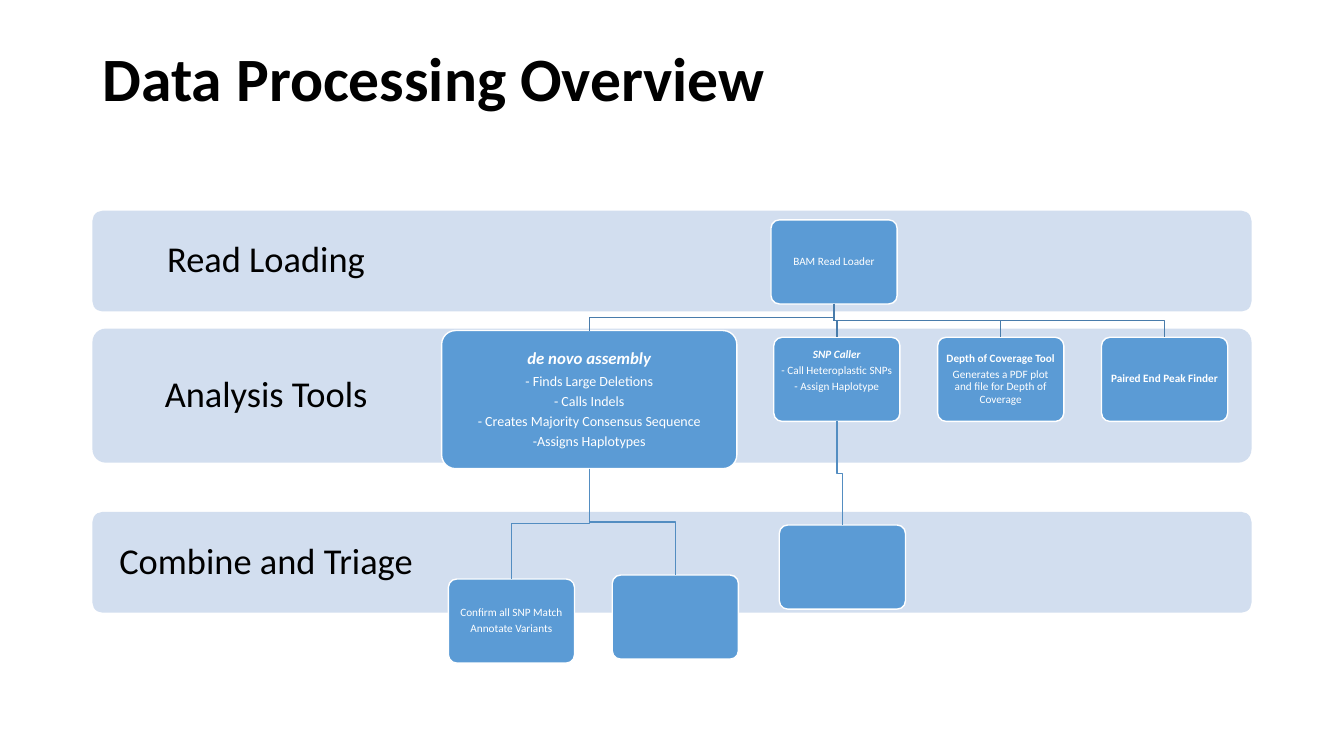
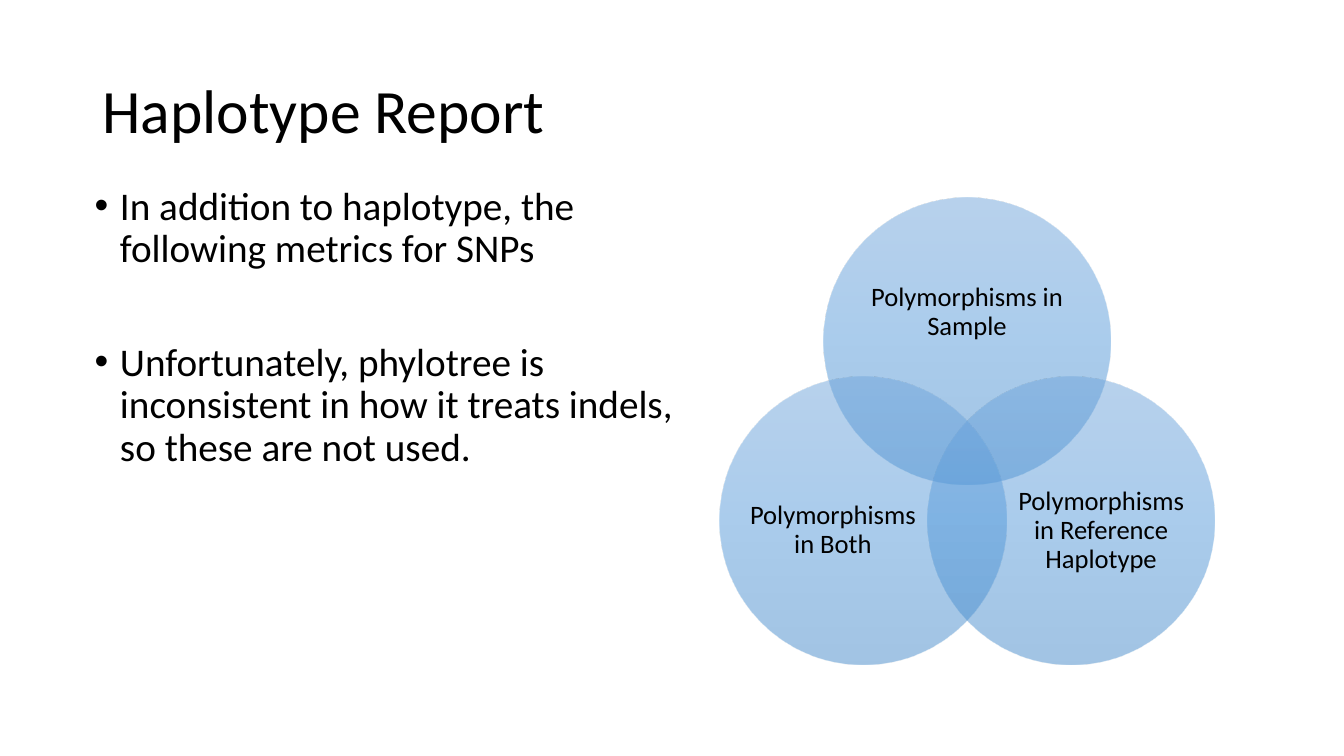
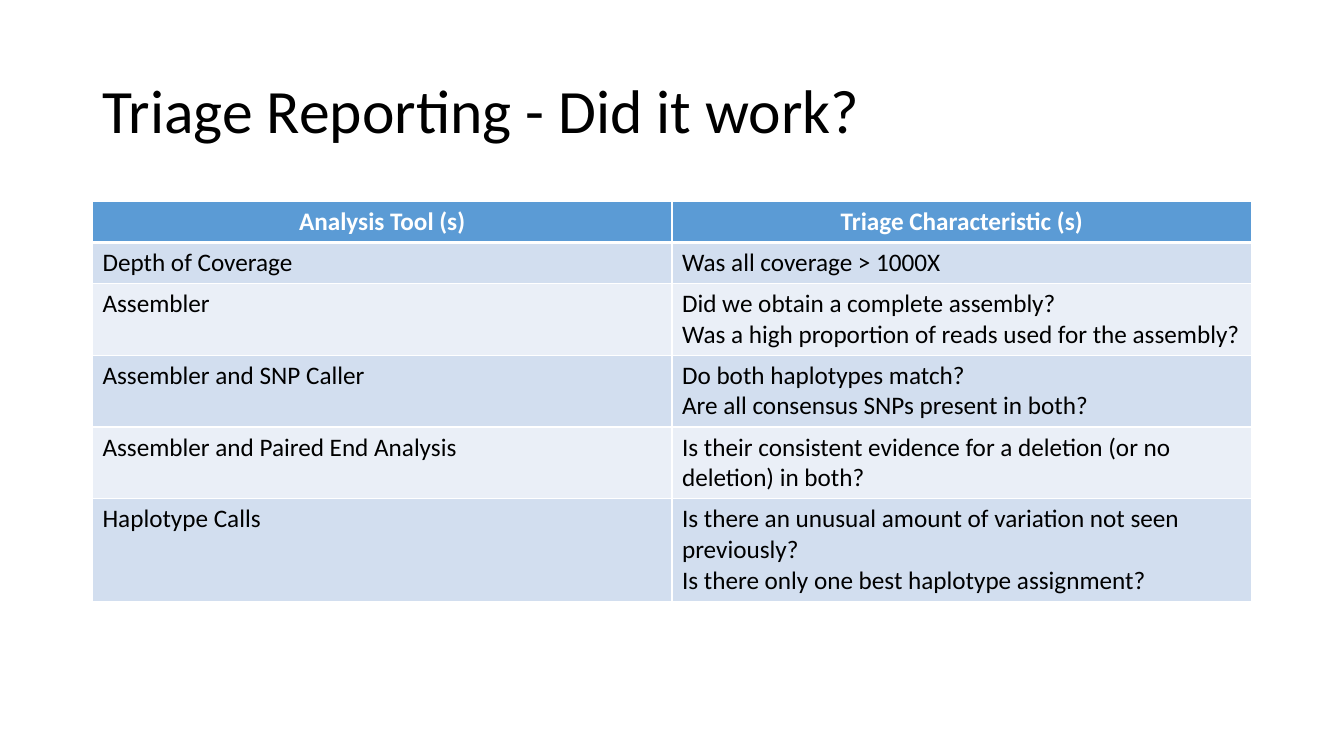
from lxml import etree
from pptx import Presentation
from pptx.dml.color import RGBColor
from pptx.enum.shapes import MSO_SHAPE
from pptx.enum.text import MSO_ANCHOR, MSO_AUTO_SIZE, PP_ALIGN
from pptx.oxml.ns import qn
from pptx.util import Cm, Pt

ROUNDED, OVAL = MSO_SHAPE.ROUNDED_RECTANGLE, MSO_SHAPE.OVAL
LEFT, CENTER = PP_ALIGN.LEFT, PP_ALIGN.CENTER
TOP, MIDDLE = MSO_ANCHOR.TOP, MSO_ANCHOR.MIDDLE
NO_FIT = MSO_AUTO_SIZE.NONE

COLORS = {
    "text": "000000", "white": "FFFFFF", "box": "5B9BD5",
    "band": "D2DEEF", "band_light": "EAEFF7",
    "link": "497CAB", "sublink": "538DC1",
    "venn_top": "71A6DB", "venn_mid": "559BDB", "venn_bottom": "448ACA",
}
FONT = "Calibri"
MARGIN_X, CONTENT_W = 2.33, 29.21
TITLE_TOP, TITLE_H = 1.02, 3.68
TITLE_ONLY, TITLE_AND_BODY = 5, 1
BOX_W, BOX_H, BOX_PITCH = 3.18, 2.12, 4.13


def rgb(name):
    return RGBColor.from_string(COLORS[name])


def set_attrs(target, **values):
    for name, value in values.items():
        setattr(target, name, value)


def place(shape, x, y, w, h):
    set_attrs(shape, left=Cm(x), top=Cm(y), width=Cm(w), height=Cm(h))


def set_margins(tf, left, top, right, bottom):
    set_attrs(tf, margin_left=Cm(left), margin_top=Cm(top),
              margin_right=Cm(right), margin_bottom=Cm(bottom))


def write(tf, lines, size, color="text", align=CENTER, anchor=MIDDLE,
          spacing=0.9, after=0.35, **font):
    """Write one paragraph per line; a line is text or (text, font overrides).

    The space after a paragraph is the share `after` of its font size.
    """
    set_attrs(tf, word_wrap=True, auto_size=NO_FIT, vertical_anchor=anchor)
    for i, line in enumerate(lines):
        text, own = (line, {}) if isinstance(line, str) else line
        style = {"size": size, "bold": False, "italic": False, **font, **own}
        points = style.pop("size")
        p = tf.paragraphs[0] if i == 0 else tf.add_paragraph()
        set_attrs(p, alignment=align, line_spacing=spacing,
                  space_before=Pt(0), space_after=Pt(points * after))
        r = p.add_run()
        r.text = text
        set_attrs(r.font, name=FONT, size=Pt(points), **style)
        r.font.color.rgb = rgb(color)


def add_slide(prs, title, layout=TITLE_ONLY, height=TITLE_H, bold=False):
    s = prs.slides.add_slide(prs.slide_layouts[layout])
    place(s.shapes.title, MARGIN_X, TITLE_TOP, CONTENT_W, height)
    write(s.shapes.title.text_frame, [title], 44, align=LEFT, after=0, bold=bold)
    return s


def add_rounded(s, x, y, w, h, fill, line=None):
    sp = s.shapes.add_shape(ROUNDED, Cm(x), Cm(y), Cm(w), Cm(h))
    sp.shadow.inherit = False
    sp.adjustments[0] = 0.1
    sp.fill.solid()
    sp.fill.fore_color.rgb = rgb(fill)
    if line:
        sp.line.color.rgb = rgb(line)
        sp.line.width = Pt(1)
    else:
        sp.line.fill.background()
    return sp


def add_band(s, label, y, h):
    """Add a full-width band whose label is centred in its left part."""
    sp = add_rounded(s, MARGIN_X, y, CONTENT_W, h, "band")
    set_margins(sp.text_frame, 0.44, 0.44, 20.89, 0.44)
    write(sp.text_frame, [label], 26)


def add_box(s, x, y, lines=(), w=BOX_W, h=BOX_H, size=8, inset=0.08, lift=0):
    """Add a step box; `lift` is extra bottom margin that raises the text."""
    sp = add_rounded(s, x, y, w, h, "box", "white")
    if lines:
        set_margins(sp.text_frame, inset, inset, inset, inset + lift)
        write(sp.text_frame, lines, size, "white")
    return sp


def add_link(s, parent, child, color):
    """Draw an elbow from the parent's bottom centre to the child's top centre."""
    x1, y1 = parent.left + parent.width // 2, parent.top + parent.height
    x2, y2 = child.left + child.width // 2, child.top
    middle = (y1 + y2) // 2
    builder = s.shapes.build_freeform(x1, y1)
    builder.add_line_segments([(x1, middle), (x2, middle), (x2, y2)], close=False)
    link = builder.convert_to_shape()
    link.shadow.inherit = False
    link.fill.background()
    link.line.color.rgb = rgb(color)
    link.line.width = Pt(1)


def add_venn_circle(s, x, y, diameter):
    sp = s.shapes.add_shape(OVAL, Cm(x), Cm(y), Cm(diameter), Cm(diameter))
    sp.shadow.inherit = False
    sp.line.fill.background()
    gradient = etree.Element(qn("a:gradFill"), rotWithShape="1")
    stops = etree.SubElement(gradient, qn("a:gsLst"))
    for pos, name in ((0, "venn_top"), (50, "venn_mid"), (100, "venn_bottom")):
        stop = etree.SubElement(stops, qn("a:gs"), pos=str(pos * 1000))
        color = etree.SubElement(stop, qn("a:srgbClr"), val=COLORS[name])
        etree.SubElement(color, qn("a:alpha"), val="50000")
    etree.SubElement(gradient, qn("a:lin"), ang="5400000", scaled="0")
    sp.element.spPr.find(qn("a:prstGeom")).addnext(gradient)


def add_label(s, text, x, y, w, h, size):
    tf = s.shapes.add_textbox(Cm(x), Cm(y), Cm(w), Cm(h)).text_frame
    set_margins(tf, 0, 0, 0, 0)
    write(tf, [text], size)


def set_borders(cell, **widths):
    tc_pr = cell._tc.get_or_add_tcPr()
    for side in "LRTB":
        ln = etree.SubElement(tc_pr, qn(f"a:ln{side}"), w=str(Pt(widths.get(side, 1))))
        fill = etree.SubElement(ln, qn("a:solidFill"))
        etree.SubElement(fill, qn("a:srgbClr"), val=COLORS["white"])


def fill_cell(cell, lines, fill, borders, **text):
    set_borders(cell, **borders)
    cell.fill.solid()
    cell.fill.fore_color.rgb = rgb(fill)
    write(cell.text_frame, lines, 18, spacing=1.0, after=0, **text)
    cell.vertical_anchor = TOP


def build_overview(prs):
    s = add_slide(prs, "Data Processing Overview", height=2.08, bold=True)
    for label, y, h in (("Read Loading", 5.31, 2.54),
                        ("Analysis Tools", 8.28, 3.38),
                        ("Combine and Triage", 12.9, 2.54)):
        add_band(s, label, y, h)

    heading = {"bold": True, "italic": True}
    loader = add_box(s, 19.43, 5.54, ["BAM Read Loader"])
    assembly = add_box(s, 11.13, 8.33, [
        ("de novo assembly", {"size": 12, **heading}),
        "- Finds Large Deletions", "- Calls Indels",
        "- Creates Majority Consensus Sequence", "-Assigns Haplotypes",
    ], w=7.44, h=3.48, size=10, inset=0.13)
    tools = [
        ([("SNP Caller", heading), "- Call Heteroplastic SNPs",
          "- Assign Haplotype"], 0.41),
        ([("Depth of Coverage Tool", {"bold": True}),
          "Generates a PDF plot and file for Depth of Coverage"], 0),
        ([("Paired End Peak Finder", {"bold": True})], 0),
    ]
    tool_boxes = [add_box(s, 19.5 + i * BOX_PITCH, 8.5, lines, lift=lift)
                  for i, (lines, lift) in enumerate(tools)]
    confirm = add_box(s, 11.3, 14.59, ["Confirm all SNP Match", "Annotate Variants"])
    assembly_result = add_box(s, 11.3 + BOX_PITCH, 14.49)
    snp_result = add_box(s, 19.64, 13.23)

    for child in (assembly, *tool_boxes):
        add_link(s, loader, child, "link")
    for parent, child in ((assembly, confirm), (assembly, assembly_result),
                          (tool_boxes[0], snp_result)):
        add_link(s, parent, child, "sublink")


def build_haplotype_report(prs):
    s = add_slide(prs, "Haplotype Report", TITLE_AND_BODY)
    body = s.placeholders[1]
    place(body, 2.13, 4.57, 15.32, 12.09)
    write(body.text_frame, [
        "In addition to haplotype, the following metrics for SNPs",
        "Unfortunately, phylotree is inconsistent in how it treats indels, "
        "so these are not used.",
    ], 28, align=LEFT, anchor=TOP, after=0)
    for p, before in zip(body.text_frame.paragraphs, (10, 51)):
        p.space_before = Pt(before)
        p_pr = p._p.get_or_add_pPr()
        p_pr.set("marL", str(Cm(0.64)))
        p_pr.set("indent", str(-Cm(0.64)))

    center_x, diameter, circle_shift, label_shift = 24.37, 7.24, 2.62, 3.38
    for text, side, circle_y, label_y, w, h in (
            ("Polymorphisms in Sample", 0, 4.98, 6.25, 5.31, 3.25),
            ("Polymorphisms in Reference Haplotype", 1, 9.5, 11.38, 4.34, 3.99),
            ("Polymorphisms in Both", -1, 9.5, 11.38, 4.34, 3.99)):
        add_venn_circle(s, center_x + side * circle_shift - diameter / 2,
                        circle_y, diameter)
        add_label(s, text, center_x + side * label_shift - w / 2,
                  label_y, w, h, 19)


def build_triage_table(prs):
    s = add_slide(prs, "Triage Reporting - Did it work?")
    # Tool, questions, number of text lines the row holds
    rows = [
        ("Analysis Tool (s)", ["Triage Characteristic (s)"], 1),
        ("Depth of Coverage", ["Was all coverage > 1000X"], 1),
        ("Assembler", ["Did we obtain a complete assembly?",
                       "Was a high proportion of reads used for the assembly?"], 2),
        ("Assembler and SNP Caller", ["Do both haplotypes match?",
                                      "Are all consensus SNPs present in both?"], 2),
        ("Assembler and Paired End Analysis",
         ["Is their consistent evidence for a deletion (or no deletion) in both?"], 2),
        ("Haplotype Calls",
         ["Is there an unusual amount of variation not seen previously?",
          "Is there only one best haplotype assignment?"], 3),
    ]
    heights = [1.03 + 0.78 * (count - 1) for _, _, count in rows]
    table = s.shapes.add_table(len(rows), 2, Cm(MARGIN_X), Cm(5.08),
                               Cm(CONTENT_W), Cm(sum(heights))).table
    for i, (tool, questions, _) in enumerate(rows):
        table.rows[i].height = Cm(heights[i])
        if i == 0:
            style = {"fill": "box", "color": "white", "bold": True,
                     "borders": {"B": 3}}
        else:
            style = {"fill": "band" if i % 2 else "band_light", "align": LEFT,
                     "borders": {"T": 3} if i == 1 else {}}
        for j, lines in enumerate(([tool], questions)):
            fill_cell(table.cell(i, j), lines, **style)


def main():
    prs = Presentation()
    set_attrs(prs, slide_width=Cm(33.87), slide_height=Cm(19.05))
    build_overview(prs)
    build_haplotype_report(prs)
    build_triage_table(prs)
    prs.save("out.pptx")


if __name__ == "__main__":
    main()
